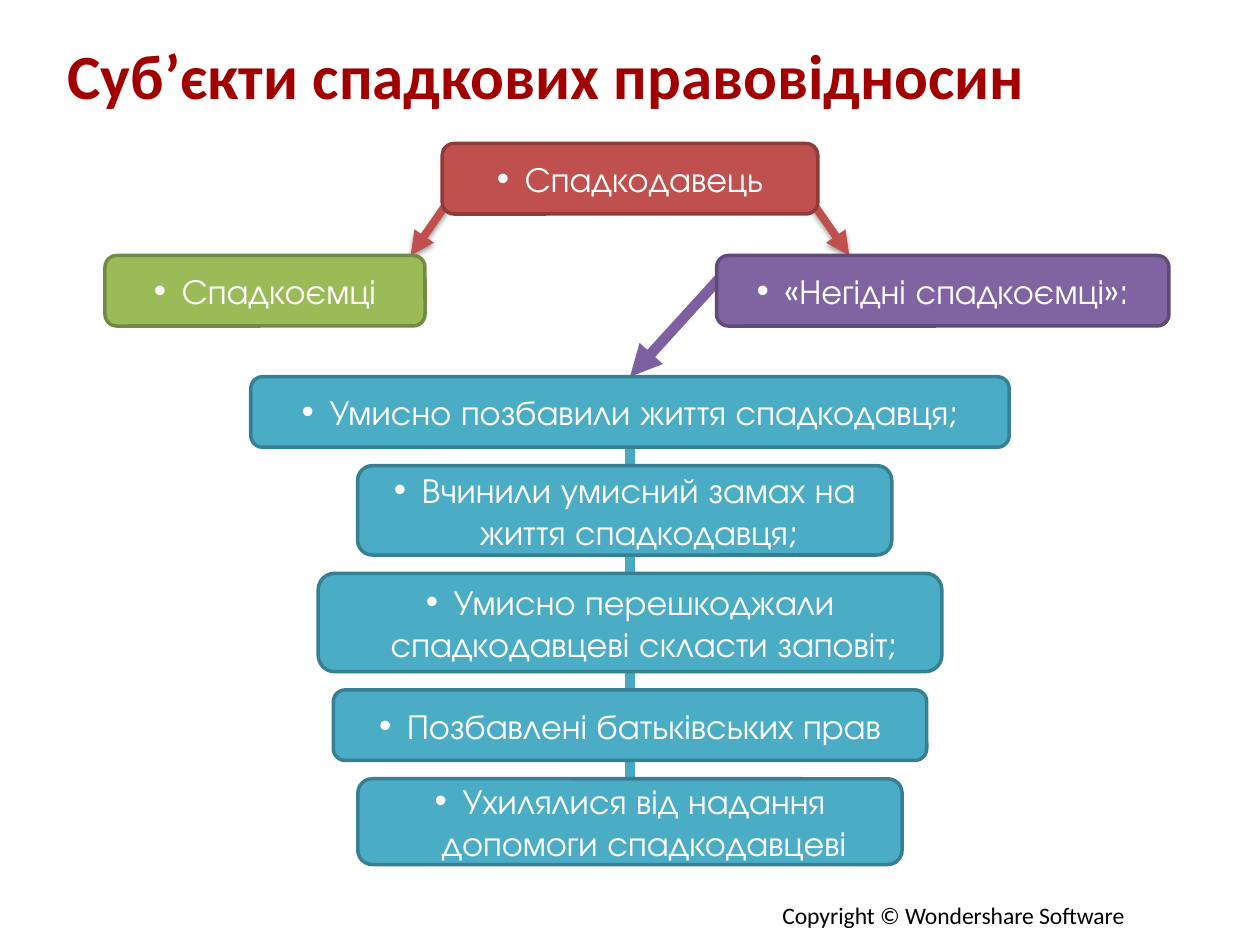
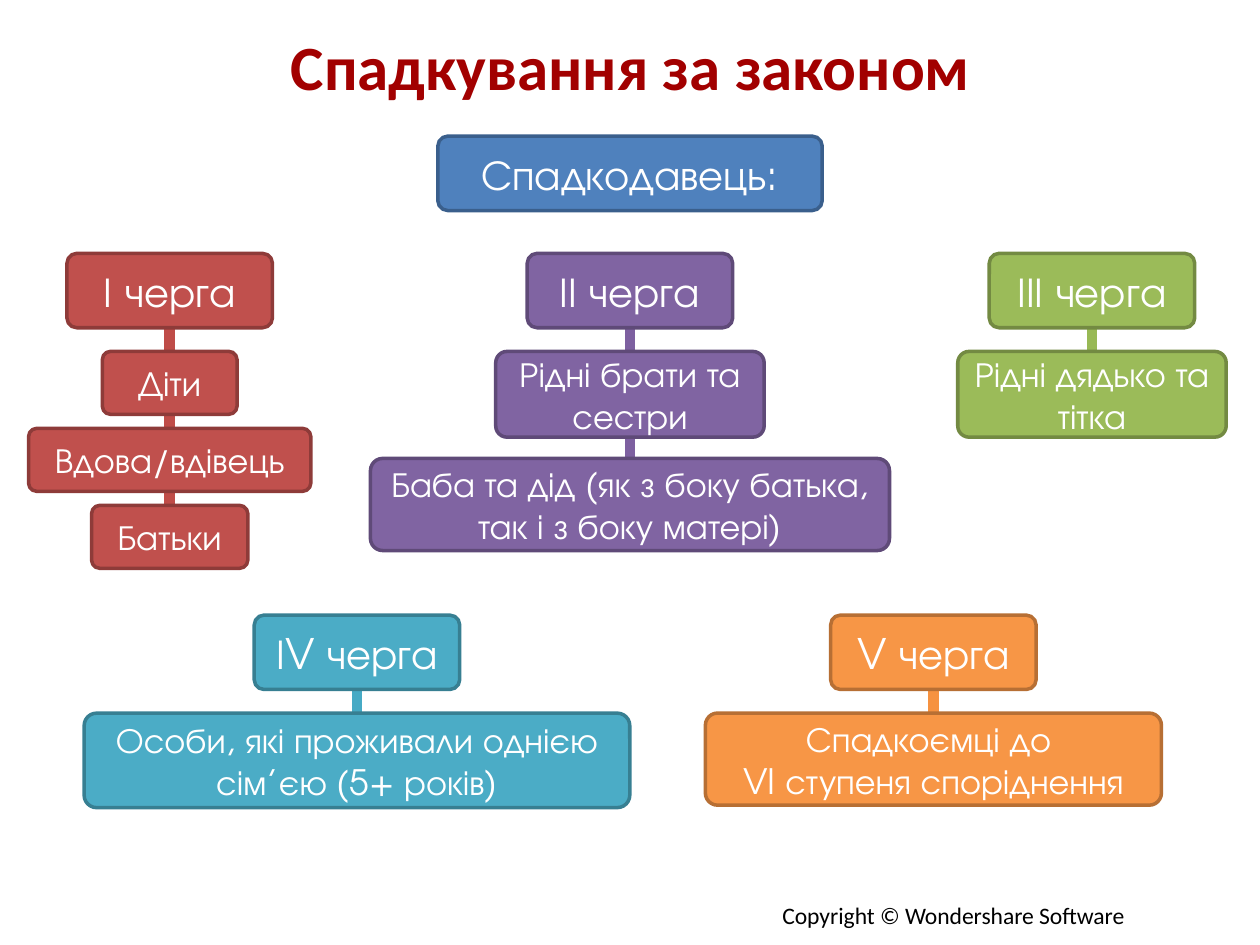
from collections import namedtuple

from lxml.etree import SubElement
from pptx import Presentation
from pptx.dml.color import RGBColor
from pptx.enum.shapes import MSO_CONNECTOR as Connector, MSO_SHAPE as Shape
from pptx.enum.text import MSO_ANCHOR as Anchor, PP_ALIGN as Align
from pptx.oxml.ns import qn
from pptx.util import Pt

Box = namedtuple("Box", "left top width height")
Tone = namedtuple("Tone", "fill border link")

BLUE = Tone("4F81BD", "3A5F8C", "4A7EBB")
RED = Tone("C0504D", "8E3B39", "BF4C48")
GREEN = Tone("9BBB59", "738A42", "98B955")
PURPLE = Tone("8064A2", "5F4A78", "7D60A0")
TEAL = Tone("4BACC6", "377F92", "46AAC5")
ORANGE = Tone("F79646", "B76F34", "F69240")
TITLE_COLOR, INK, WHITE = "A20000", "000000", "FFFFFF"
HEADING_FONT, NODE_FONT = "Calibri", "TeX Gyre Adventor"

SUBJECT_RADIUS, QUEUE_RADIUS = 0.167, 0.132
SUBJECT_HEIGHT = 40.3
QUEUE_WIDTH, QUEUE_HEIGHT, QUEUE_GAP = 117.4, 42.5, 13.5

OFFENCES = [
    (0, 433.4, 40.3, "Умисно позбавили життя спадкодавця;"),
    (-3, 305.3, 51.1, "Вчинили умисний замах на життя спадкодавця;"),
    (0, 356.4, 56.2, "Умисно перешкоджали спадкодавцеві скласти заповіт;"),
    (0, 339.1, 40.3, "Позбавлені батьківських прав"),
    (0, 311, 49, "Ухилялися від надання допомоги спадкодавцеві"),
]

QUEUES = [
    (67, 0, RED, "І черга", 8, [
        (77, 36, "Діти"), (161.3, 36, "Вдова/вдівець"), (89.3, 36, "Батьки")]),
    (330, 0, PURPLE, "ІІ черга", 12.2, [
        (153.4, 49, "Рідні брати та сестри"),
        (296.6, 52.6, "Баба та дід (як з боку батька, так і з боку матері)")]),
    (594, 0, GREEN, "ІІІ черга", 0, [(153.4, 49, "Рідні дядько та тітка")]),
    (174, 206.7, TEAL, "ІV черга", 0, [
        (311.8, 54, "Особи, які проживали однією сім’єю (5+ років)")]),
    (503.4, 206.7, ORANGE, "V черга", 0, [
        (260.6, 52.6, "Спадкоємці до \nVI ступеня споріднення")]),
]


def rgb(value):
    """Turn a hex string into a colour."""
    return RGBColor.from_string(value)


def lengths(box):
    """Give the four sides of a box in points."""
    return [Pt(side) for side in box]


def centered(center, top, width, height):
    """Make a box around a vertical axis."""
    return Box(center - width / 2, top, width, height)


def write(paragraph, text, size, font, color, bold=False):
    """Add one formatted run to a paragraph."""
    run = paragraph.add_run()
    run.text = text
    run.font.size = Pt(size)
    run.font.name = font
    run.font.bold = bold
    run.font.color.rgb = rgb(color)


def add_bullet(paragraph):
    """Give a paragraph a hanging round bullet."""
    properties = paragraph._p.get_or_add_pPr()
    properties.set("marL", str(Pt(16)))
    properties.set("indent", str(-Pt(16)))
    SubElement(properties, qn("a:buFont"), typeface="Arial")
    SubElement(properties, qn("a:buChar"), char="•")


def add_node(slide, box, text, tone, size, radius, bullet=False):
    """Draw a rounded box with centred text."""
    node = slide.shapes.add_shape(Shape.ROUNDED_RECTANGLE, *lengths(box))
    node.adjustments[0] = radius
    node.shadow.inherit = False
    node.fill.solid()
    node.fill.fore_color.rgb = rgb(tone.fill)
    node.line.color.rgb = rgb(tone.border)
    node.line.width = Pt(2)
    frame = node.text_frame
    frame.word_wrap = True
    frame.vertical_anchor = Anchor.MIDDLE
    for index, line in enumerate(text.split("\n")):
        paragraph = frame.add_paragraph() if index else frame.paragraphs[0]
        paragraph.alignment = Align.CENTER
        if bullet:
            add_bullet(paragraph)
        write(paragraph, line, size, NODE_FONT, WHITE)
    return node


def add_link(slide, color, width, start=(0, 0), end=(0, 0), arrow=False, shadow=False):
    """Draw a straight line behind all the nodes."""
    link = slide.shapes.add_connector(
        Connector.STRAIGHT, *[Pt(place) for place in (*start, *end)])
    link.line.color.rgb = rgb(color)
    link.line.width = Pt(width)
    if arrow:
        SubElement(link.line._get_or_add_ln(), qn("a:tailEnd"), type="triangle")
    effects = SubElement(link.element.spPr, qn("a:effectLst"))
    if shadow:
        cast = SubElement(effects, qn("a:outerShdw"), blurRad=str(Pt(3.1)),
                          dist=str(Pt(1.6)), dir="5400000", rotWithShape="0")
        shade = SubElement(cast, qn("a:srgbClr"), val=INK)
        SubElement(shade, qn("a:alpha"), val="38000")
    slide.shapes.element.insert(2, link.element)
    return link


def join_stack(slide, tone, first, last):
    """Run a spine from the first node of a stack to the last."""
    spine = add_link(slide, tone.link, 6)
    spine.begin_connect(first, 2)
    spine.end_connect(last, 0)


def add_title(slide, box, text):
    """Write the slide title."""
    frame = slide.shapes.add_textbox(*lengths(box)).text_frame
    frame.word_wrap = True
    frame.vertical_anchor = Anchor.MIDDLE
    frame.paragraphs[0].alignment = Align.CENTER
    write(frame.paragraphs[0], text, 36, HEADING_FONT, TITLE_COLOR, bold=True)


def add_footer(slide, box):
    """Write the copyright line."""
    frame = slide.shapes.add_textbox(*lengths(box)).text_frame
    frame.word_wrap = False
    write(frame.paragraphs[0], "Copyright © Wondershare Software", 13.5, HEADING_FONT, INK)


def add_offences(slide, box):
    """Stack the grounds of unworthiness and return the top one."""
    center, top = box.left + box.width / 2, box.top
    gap = (box.height - sum(height for _, _, height, _ in OFFENCES)) / (len(OFFENCES) - 1)
    stack = []
    for shift, width, height, text in OFFENCES:
        place = centered(center + shift, top, width, height)
        stack.append(add_node(slide, place, text, TEAL, 20, SUBJECT_RADIUS, bullet=True))
        top += height + gap
    join_stack(slide, TEAL, stack[0], stack[-1])
    return stack[0]


def add_subjects(slide, box):
    """Draw the testator, both kinds of heirs and the offences."""
    center, heirs_top = box.left + 300, box.top + 64
    unworthy_left = box.left + box.width - 258.5
    subjects = [
        ("Спадкодавець", RED, centered(center, box.top, 214.6, SUBJECT_HEIGHT)),
        ("Спадкоємці", GREEN, Box(box.left, heirs_top, 182.9, SUBJECT_HEIGHT)),
        ("«Негідні спадкоємці»:", PURPLE,
         Box(unworthy_left, heirs_top, 258.5, SUBJECT_HEIGHT)),
    ]
    for text, tone, place in subjects:
        add_node(slide, place, text, tone, 20, SUBJECT_RADIUS, bullet=True)
    for side in (-1, 1):
        add_link(slide, RED.fill, 4.5, (center + side * 99.4, box.top + 26.7),
                 (center + side * 125.3, heirs_top), arrow=True, shadow=True)
    first_offence = add_offences(
        slide, Box(center - 216.7, box.top + 133.3, 433.4, box.height - 133.3))
    to_offences = add_link(slide, PURPLE.link, 6, (unworthy_left + 3, heirs_top + 11.6),
                           arrow=True)
    to_offences.end_connect(first_offence, 0)


def add_queue(slide, center, top, tone, heading, gap, heirs):
    """Draw one queue of heirs under its heading."""
    head = add_node(slide, centered(center, top, QUEUE_WIDTH, QUEUE_HEIGHT),
                    heading, tone, 24, QUEUE_RADIUS)
    top += QUEUE_HEIGHT + QUEUE_GAP
    for width, height, text in heirs:
        last = add_node(slide, centered(center, top, width, height),
                        text, tone, 20, QUEUE_RADIUS)
        top += height + gap
    join_stack(slide, tone, head, last)


def add_queues(slide, box):
    """Draw the testator above the five queues."""
    add_node(slide, centered(box.left + box.width / 2, box.top, 219.6, QUEUE_HEIGHT),
             "Спадкодавець:", BLUE, 24, QUEUE_RADIUS)
    for offset, drop, *queue in QUEUES:
        add_queue(slide, box.left + offset, box.top + 67 + drop, *queue)


def main():
    """Build and save both slides."""
    deck = Presentation()
    deck.slide_width, deck.slide_height = Pt(720), Pt(540)
    pages = [
        ("Суб’єкти спадкових правовідносин", Box(22.3, 11.5, 579.6, 62),
         add_subjects, Box(60, 82, 608, 412)),
        ("Спадкування за законом", Box(85.7, 13, 549.4, 49),
         add_queues, Box(30, 77.8, 660, 384)),
    ]
    for title, title_box, add_content, content_box in pages:
        slide = deck.slides.add_slide(deck.slide_layouts[6])
        add_footer(slide, Box(440, 511.2, 213.8, 23.8))
        add_title(slide, title_box, title)
        add_content(slide, content_box)
    deck.save("out.pptx")


if __name__ == "__main__":
    main()
